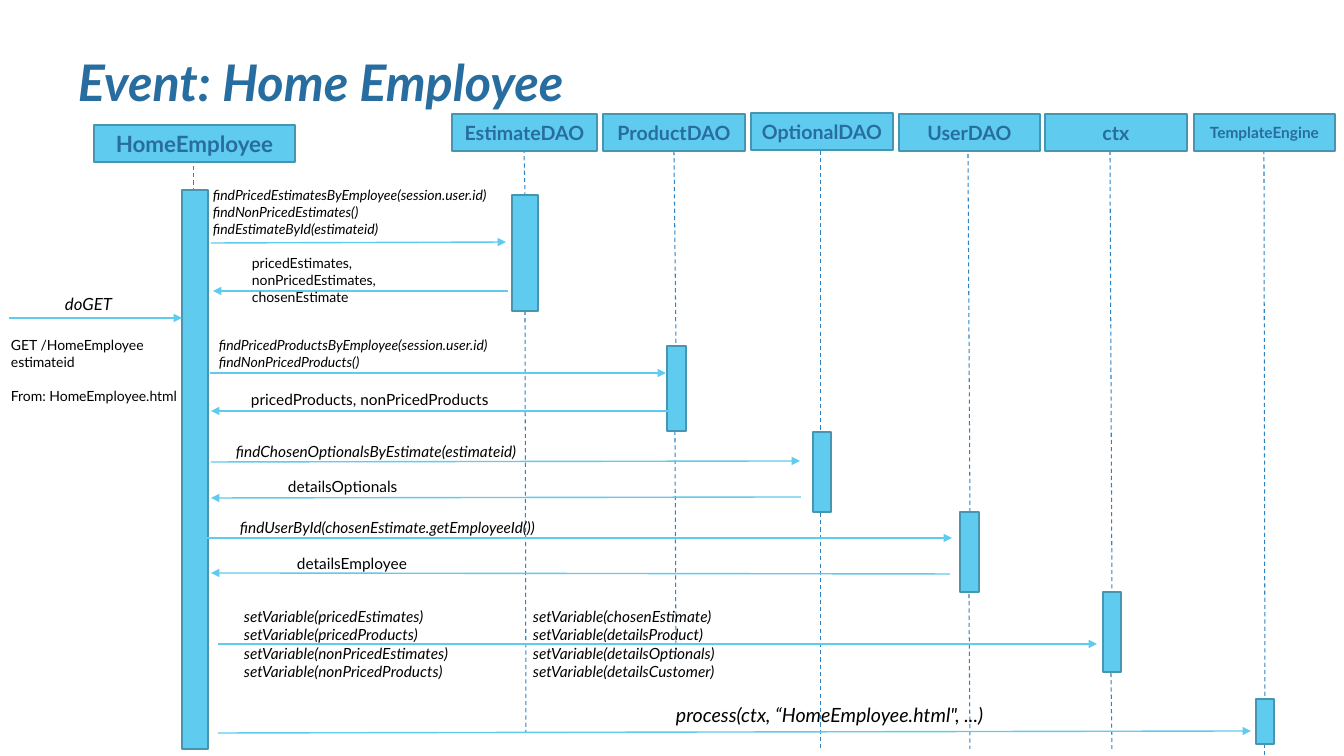
from dataclasses import dataclass
from typing import Optional

from lxml import etree
from pptx import Presentation
from pptx import util as u
from pptx.dml.color import RGBColor
from pptx.enum import dml, shapes, text
from pptx.oxml.ns import qn

PIXEL = 914400 / 100.8
FONT = "Lato"
SKY = RGBColor(0x5F, 0xCB, 0xEF)
TEAL = RGBColor(0x46, 0x96, 0xB1)
BLUE = RGBColor(0x2E, 0x83, 0xC3)
NAVY = RGBColor(0x28, 0x6D, 0x9F)
BLACK = RGBColor(0, 0, 0)

Point = tuple[int, int]
Box = tuple[int, int, int, int]


@dataclass
class Participant:
    name: str
    header: Box
    bar: Box
    lifeline_top: Point
    bar_x: int  # lifeline x where it meets the top of the bar
    lower_start: Optional[Point] = None
    lower_end: Optional[Point] = None
    size: int = 14


@dataclass
class Message:
    start: Point
    end: Point
    label: Box
    lines: list[str]
    size: int = 11
    italic: bool = True


@dataclass
class Note:
    box: Box
    lines: list[str]
    size: int
    italic: bool = False


PARTICIPANTS = [
    Participant("HomeEmployee", (94, 125, 201, 37), (182, 190, 26, 559), (194, 166), 194, size=16),
    Participant("EstimateDAO", (452, 114, 145, 37), (512, 195, 26, 116), (524, 149), 525,
                (525, 311), (526, 732)),
    Participant("ProductDAO", (603, 114, 142, 37), (667, 346, 19, 85), (674, 151), 676,
                (675, 431), (676, 657)),
    Participant("OptionalDAO", (751, 113, 142, 37), (813, 432, 18, 80), (821, 151), 821,
                (821, 513), (821, 749)),
    Participant("UserDAO", (899, 114, 141, 37), (960, 512, 19, 80), (968, 154), 970,
                (969, 594), (970, 749)),
    Participant("ctx", (1045, 114, 142, 37), (1103, 592, 18, 80), (1110, 151), 1112,
                (1111, 673), (1112, 749)),
    Participant("TemplateEngine", (1194, 114, 141, 37), (1256, 699, 18, 45), (1264, 150), 1265,
                (1265, 744), (1265, 756), size=11),
]

MESSAGES = [
    Message((9, 318), (182, 318), (55, 289, 91, 30), ["doGET"], 12),
    Message((211, 243), (506, 242), (203, 182, 351, 61),
            ["findPricedEstimatesByEmployee(session.user.id)", "findNonPricedEstimates()",
             "findEstimateById(estimateid)"], 10),
    Message((508, 291), (213, 291), (242, 250, 194, 61),
            ["pricedEstimates,", "nonPricedEstimates,", "chosenEstimate"], 10, False),
    Message((210, 373), (666, 373), (209, 332, 344, 44),
            ["findPricedProductsByEmployee(session.user.id)", "findNonPricedProducts()"], 10),
    Message((669, 411), (211, 411), (241, 385, 331, 29),
            ["pricedProducts, nonPricedProducts"], italic=False),
    Message((211, 462), (800, 461), (226, 437, 433, 29),
            ["findChosenOptionalsByEstimate(estimateid)"]),
    Message((801, 497), (211, 498), (278, 472, 226, 29), ["detailsOptionals"], italic=False),
    Message((207, 538), (952, 538), (230, 513, 433, 29),
            ["findUserById(chosenEstimate.getEmployeeId())"]),
    Message((950, 574), (211, 573), (287, 549, 226, 29), ["detailsEmployee"], italic=False),
    Message((218, 644), (1097, 644), (234, 602, 273, 85),
            ["setVariable(pricedEstimates)", "setVariable(pricedProducts)",
             "setVariable(nonPricedEstimates)", "setVariable(nonPricedProducts)"]),
    Message((218, 733), (1251, 731), (666, 698, 475, 34),
            ["process(ctx, “HomeEmployee.html\", ...)"], 14),
]

NOTES = [
    Note((523, 602, 268, 85),
         ["setVariable(chosenEstimate)", "setVariable(detailsProduct)",
          "setVariable(detailsOptionals)", "setVariable(detailsCustomer)"], 11, True),
]


def emu(pixels: int) -> int:
    return round(pixels * PIXEL)


def style_text(frame, size: int, color: RGBColor, bold: bool = False, italic: bool = False) -> None:
    for paragraph in frame.paragraphs:
        for run in paragraph.runs:
            font = run.font
            font.name, font.size = FONT, u.Pt(size)
            font.bold, font.italic = bold, italic
            font.color.rgb = color


def add_text(slide, box: Box, lines: list[str], size: int, color: RGBColor = BLACK,
             bold: bool = False, italic: bool = False):
    frame = slide.shapes.add_textbox(*map(emu, box)).text_frame
    frame.word_wrap = True
    frame.text = "\n".join(lines)
    style_text(frame, size, color, bold, italic)
    return frame


def add_box(slide, box: Box, name: str = "", size: int = 14) -> None:
    shape = slide.shapes.add_shape(shapes.MSO_SHAPE.RECTANGLE, *map(emu, box))
    shape.shadow.inherit = False
    shape.fill.solid()
    shape.fill.fore_color.rgb = SKY
    shape.line.color.rgb = TEAL
    shape.line.width = u.Pt(1.5)
    if name:
        frame = shape.text_frame
        frame.text = name
        frame.vertical_anchor = text.MSO_ANCHOR.MIDDLE
        frame.paragraphs[0].alignment = text.PP_ALIGN.CENTER
        style_text(frame, size, NAVY, bold=True)


def add_line(slide, start: Point, end: Point, color: RGBColor, width: float):
    line = slide.shapes.add_connector(shapes.MSO_CONNECTOR.STRAIGHT, *map(emu, start + end))
    line.line.color.rgb = color
    line.line.width = u.Pt(width)
    etree.SubElement(line.element.spPr, qn("a:effectLst"))
    return line


def add_lifeline(slide, start: Point, end: Point) -> None:
    add_line(slide, start, end, BLUE, 0.75).line.dash_style = dml.MSO_LINE.DASH


def add_arrow(slide, start: Point, end: Point) -> None:
    arrow = add_line(slide, start, end, SKY, 1)
    etree.SubElement(arrow.line._get_or_add_ln(), qn("a:tailEnd"), type="triangle")


presentation = Presentation()
presentation.slide_width, presentation.slide_height = emu(1344), emu(756)
slide = presentation.slides.add_slide(presentation.slide_layouts[6])

# Title
add_text(slide, (68, 46, 948, 75), ["Event: Home Employee"], 36, NAVY, bold=True, italic=True)

# Participants with their lifelines and activation bars
for participant in PARTICIPANTS:
    add_lifeline(slide, participant.lifeline_top, (participant.bar_x, participant.bar[1]))
    if participant.lower_start and participant.lower_end:
        add_lifeline(slide, participant.lower_start, participant.lower_end)
    add_box(slide, participant.header, participant.name, participant.size)
    add_box(slide, participant.bar)

# Messages
for message in MESSAGES:
    add_arrow(slide, message.start, message.end)
    add_text(slide, message.label, message.lines, message.size, italic=message.italic)

# Further variables, and the request details with a gap above the last line
for note in NOTES:
    add_text(slide, note.box, note.lines, note.size, italic=note.italic)
request = add_text(slide, (1, 332, 208, 78),
                   ["GET /HomeEmployee", "estimateid", "From: HomeEmployee.html"], 10)
request.paragraphs[-1].space_before = u.Pt(12)

presentation.save("out.pptx")
